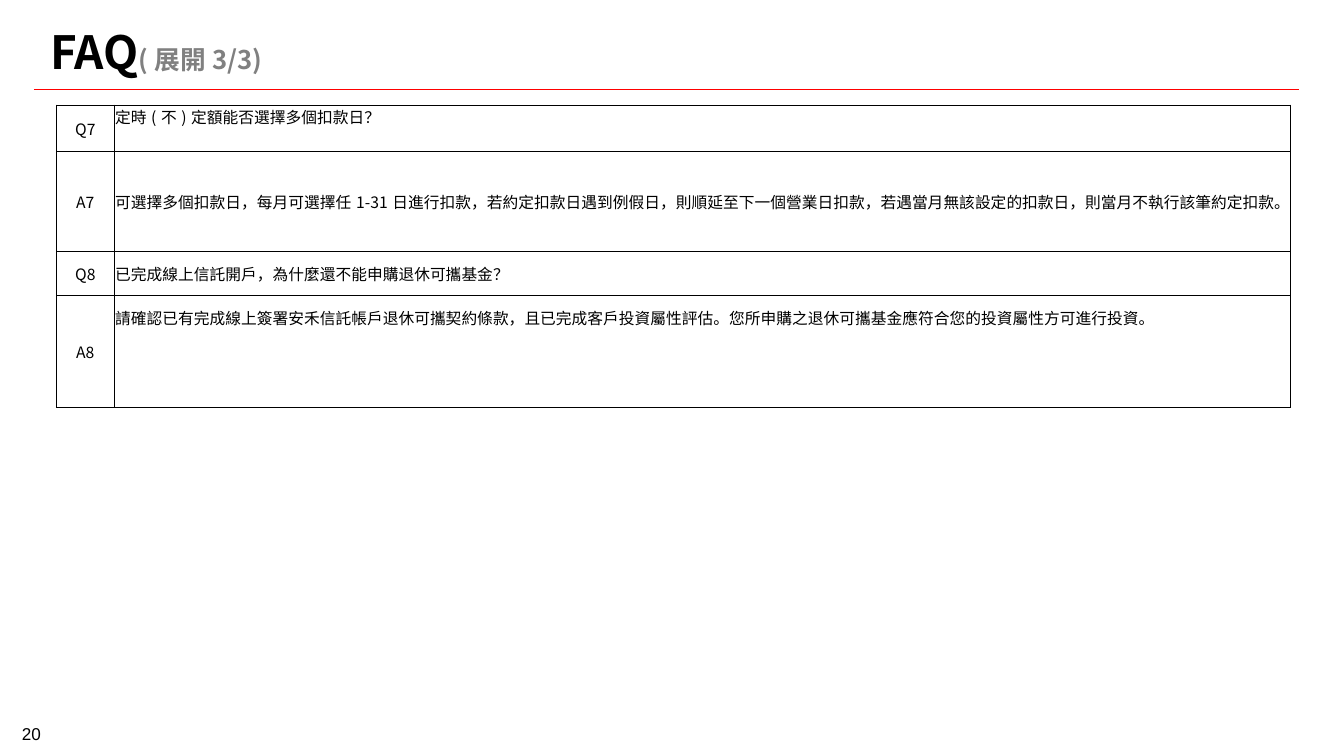
from dataclasses import dataclass

from lxml.etree import SubElement as Sub
from pptx import Presentation as Deck
from pptx.dml.color import RGBColor as Rgb
from pptx.enum.shapes import MSO_CONNECTOR as Link
from pptx.enum.text import MSO_ANCHOR as Anchor, PP_ALIGN as Align
from pptx.oxml.ns import qn
from pptx.slide import Slide
from pptx.table import _Cell as Cell
from pptx.text.text import TextFrame as Frame, _Run as Run
from pptx.util import Inches, Pt

WIDE, HIGH = Inches(13.07), Inches(7.35)
SANS, ARIAL = "Noto Sans CJK SC", "Arial"
HUES = {"ink": "000000", "gray": "808080", "rule": "FF0000", "paper": "FFFFFF"}


@dataclass
class Bit:
    text: str
    size: float
    face: str = SANS
    hue: str = "ink"
    bold: bool = False


@dataclass
class Label:
    box: tuple[float, float, float, float]
    bits: list[Bit]
    anchor: Anchor
    align: Align = Align.LEFT
    pitch: float | None = None


@dataclass
class Entry:
    mark: str
    text: str
    high: float
    anchor: Anchor = Anchor.MIDDLE
    drop: float = 0.1


TITLE = Label((2.98, 2.18, 93.04, 9.25),
              [Bit("FAQ", 32, bold=True), Bit("(展開3/3)", 18, hue="gray", bold=True)],
              Anchor.MIDDLE)
PAGE = Label((0.15, 95.78, 4.36, 3.27), [Bit("20", 12, ARIAL)],
             Anchor.BOTTOM, Align.CENTER, 10)
COLS = (4.28, 87.53)
ROWS = [
    Entry("Q7", "定時(不)定額能否選擇多個扣款日？", 6.12, Anchor.TOP),
    Entry("A7", "可選擇多個扣款日，每月可選擇任1-31日進行扣款，若約定扣款日遇到例假日，"
          "則順延至下一個營業日扣款，若遇當月無該設定的扣款日，則當月不執行該筆約定扣款。", 13.2),
    Entry("Q8", "已完成線上信託開戶，為什麼還不能申購退休可攜基金？", 5.85),
    Entry("A8", "請確認已有完成線上簽署安禾信託帳戶退休可攜契約條款，且已完成客戶投資屬性評估。"
          "您所申購之退休可攜基金應符合您的投資屬性方可進行投資。", 14.83, Anchor.TOP, 1.5),
]


def across(share: float) -> int:
    return round(WIDE * share / 100)


def down(share: float) -> int:
    return round(HIGH * share / 100)


def color(hue: str) -> Rgb:
    return Rgb.from_string(HUES[hue])


def style(run: Run, bit: Bit) -> None:
    font = run.font
    font.name, font.size, font.bold = bit.face, Pt(bit.size), bit.bold
    font.color.rgb = color(bit.hue)
    Sub(run._r.get_or_add_rPr(), qn("a:ea"), typeface=bit.face)


def write(frame: Frame, bits: list[Bit], align: Align) -> None:
    line = frame.paragraphs[0]
    line.alignment = align
    for bit in bits:
        run = line.add_run()
        run.text = bit.text
        style(run, bit)


def label(slide: Slide, item: Label) -> None:
    x, y, w, h = item.box
    frame = slide.shapes.add_textbox(across(x), down(y), across(w), down(h)).text_frame
    frame.word_wrap = True
    frame.vertical_anchor = item.anchor
    write(frame, item.bits, item.align)
    if item.pitch:
        frame.paragraphs[0].line_spacing = Pt(item.pitch)


def rule(slide: Slide) -> None:
    y = down(11.84)
    line = slide.shapes.add_connector(Link.STRAIGHT, across(2.52), y, across(96.63), y)
    line.line.color.rgb = color("rule")
    line.line.width = Pt(1.25)
    Sub(line._element.spPr, qn("a:effectLst"))


def edge(cell: Cell) -> None:
    props = cell._tc.get_or_add_tcPr()
    for side in ("lnL", "lnR", "lnT", "lnB"):
        line = Sub(props, qn(f"a:{side}"), w=str(Pt(0.5)))
        Sub(Sub(line, qn("a:solidFill")), qn("a:srgbClr"), val=HUES["ink"])


def fill(cell: Cell, text: str, align: Align, anchor: Anchor, drop: float) -> None:
    edge(cell)
    cell.fill.solid()
    cell.fill.fore_color.rgb = color("paper")
    cell.margin_left = cell.margin_right = across(0.08)
    cell.margin_top, cell.margin_bottom = down(drop), 0
    cell.vertical_anchor = anchor
    write(cell.text_frame, [Bit(text, 11)], align)


def table(slide: Slide) -> None:
    high = sum(row.high for row in ROWS)
    grid = slide.shapes.add_table(len(ROWS), len(COLS), across(4.21), down(13.88),
                                  across(sum(COLS)), down(high)).table
    grid.first_row = grid.horz_banding = False
    for col, wide in zip(grid.columns, COLS):
        col.width = across(wide)
    for i, row in enumerate(ROWS):
        grid.rows[i].height = down(row.high)
        fill(grid.cell(i, 0), row.mark, Align.CENTER, Anchor.MIDDLE, 0.1)
        fill(grid.cell(i, 1), row.text, Align.LEFT, row.anchor, row.drop)


def main() -> None:
    deck = Deck()
    deck.slide_width, deck.slide_height = WIDE, HIGH
    slide = deck.slides.add_slide(deck.slide_layouts[6])
    rule(slide)
    label(slide, PAGE)
    label(slide, TITLE)
    table(slide)
    deck.save("out.pptx")


if __name__ == "__main__":
    main()
